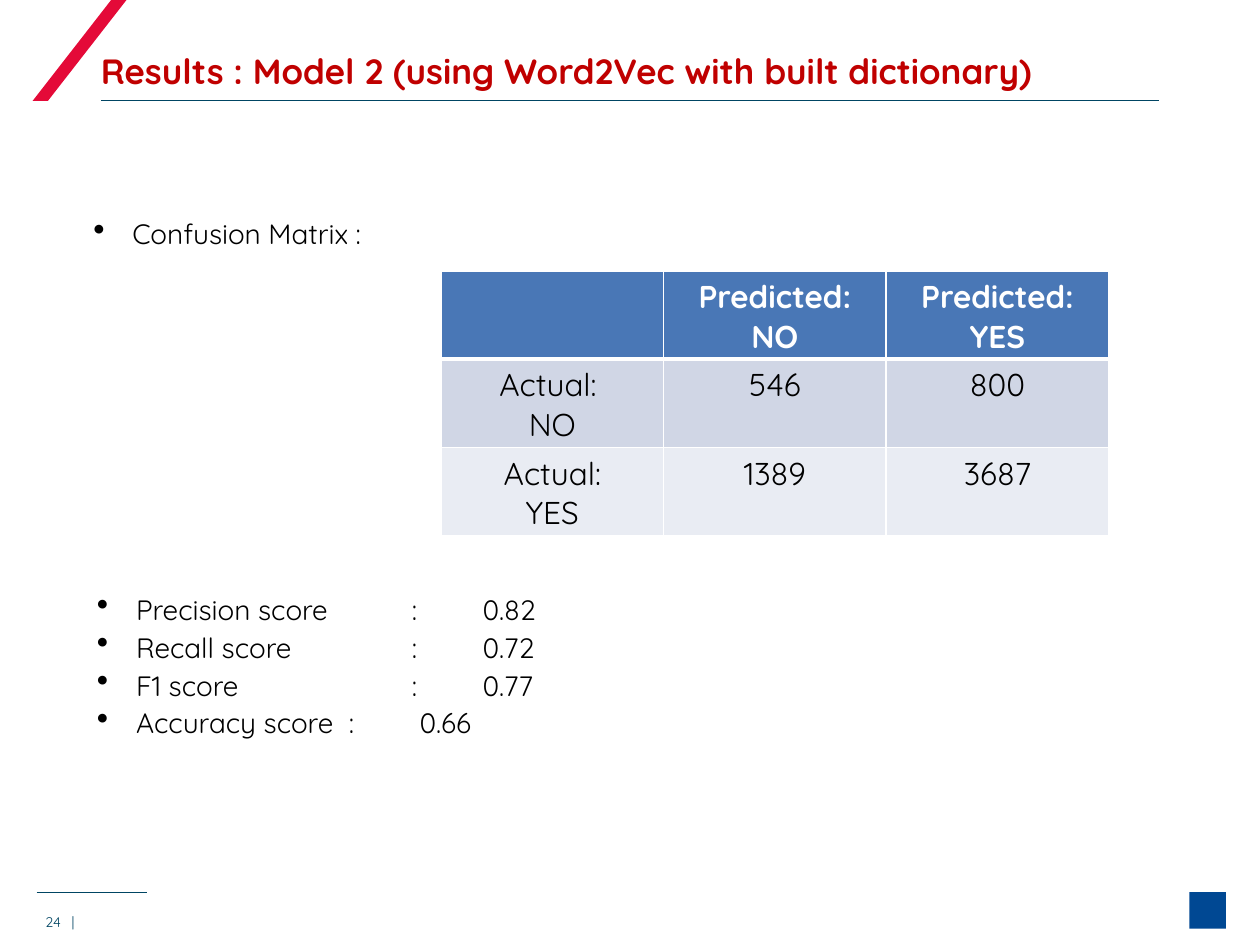
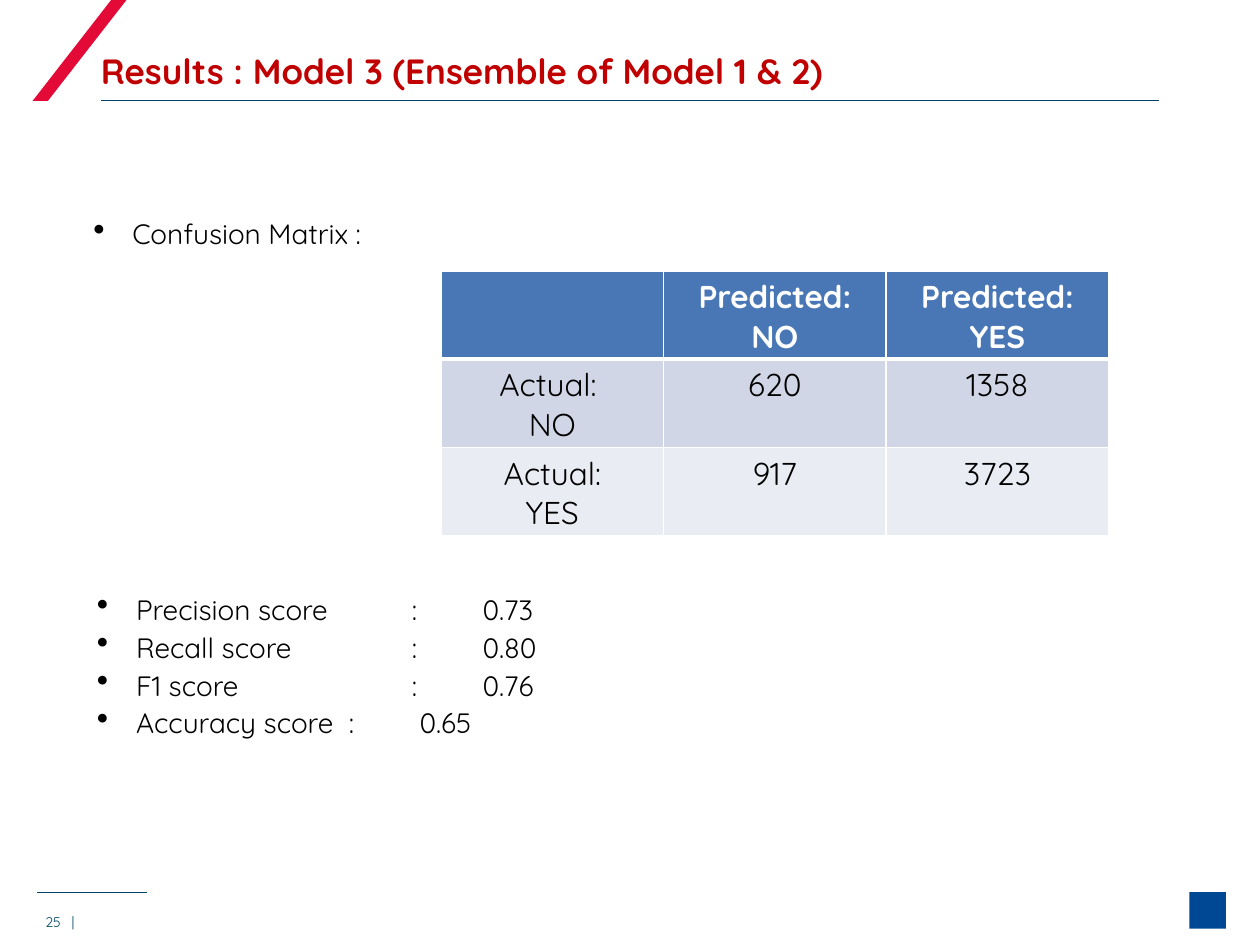
from lxml import etree
from pptx import Presentation
from pptx.dml.color import RGBColor
from pptx.enum.shapes import MSO_CONNECTOR, MSO_SHAPE
from pptx.enum.text import MSO_ANCHOR, PP_ALIGN
from pptx.oxml import parse_xml
from pptx.oxml.ns import nsdecls, qn
from pptx.util import Inches, Pt

LINE = MSO_CONNECTOR.STRAIGHT
RECT, SLANT = MSO_SHAPE.RECTANGLE, MSO_SHAPE.PARALLELOGRAM
TOP, BOTTOM = MSO_ANCHOR.TOP, MSO_ANCHOR.BOTTOM
LEFT, MID = PP_ALIGN.LEFT, PP_ALIGN.CENTER

FACE = "Quicksand"
TEAL, RED, BLUE, DARK = "004563", "E40A38", "004893", "C00000"
BLACK, WHITE = "000000", "FFFFFF"
BANDS = ["4977B6", "D0D6E5", "E9ECF3"]

# Font values, then paragraph values, for each kind of text
TITLE = ({"size": Pt(20), "bold": True}, DARK, {"alignment": LEFT})
PAGE = ({"size": Pt(8), "bold": False}, TEAL, {"alignment": LEFT})
ITEM = ({"size": Pt(16), "bold": False}, BLACK, {"alignment": LEFT, "space_before": Pt(2.5)})
HEAD = ({"size": Pt(18), "bold": True}, WHITE, {"alignment": MID})
BODY = ({"size": Pt(18), "bold": False}, BLACK, {"alignment": MID})

DATA = [
    {"title": "Results : Model 2 (using Word2Vec with built dictionary)", "page": 24,
     "counts": [["546", "800"], ["1389", "3687"]],
     "scores": ["0.82", "0.72", "0.77", "0.66"]},
    {"title": "Results : Model 3 (Ensemble of Model 1 & 2)", "page": 25,
     "counts": [["620", "1358"], ["917", "3723"]],
     "scores": ["0.73", "0.80", "0.76", "0.65"]},
]
LABELS = ["Precision score\t\t:\t ", "Recall score\t\t:\t ",
          "F1 score\t\t\t:\t ", "Accuracy score\t:\t "]
RULES = [(0.29, 7.08, 1.17), (0.8, 0.8, 9.2)]
MARKS = [(RECT, 9.44, 7.08, 0.29, 0.29, BLUE),
         (SLANT, 0.26, -0.02, 0.76, 0.82, RED)]


def hue(code):
    return RGBColor.from_string(code)


def write(frame, lines, form):
    """Fill a text frame with one paragraph per line, in the given form."""
    look, ink, lay = form
    for i, line in enumerate(lines):
        para = frame.add_paragraph() if i else frame.paragraphs[0]
        for key, val in lay.items():
            setattr(para, key, val)
        run = para.add_run()
        run.text = line
        run.font.name = FACE
        run.font.color.rgb = hue(ink)
        for key, val in look.items():
            setattr(run.font, key, val)
        props = para._p.get_or_add_pPr()
        if form is ITEM:
            props.set("marL", str(Inches(0.31)))
            props.set("indent", str(Inches(-0.31)))
            etree.SubElement(props, qn("a:buSzPct"), val="120000")
            etree.SubElement(props, qn("a:buChar"), char="•")
        elif form is PAGE:
            tabs = etree.SubElement(props, qn("a:tabLst"))
            etree.SubElement(tabs, qn("a:tab"), pos=str(Inches(0.21)), algn="l")


deck = Presentation()
deck.slide_width, deck.slide_height = Inches(10), Inches(7.5)

for data in DATA:
    slide = deck.slides.add_slide(deck.slide_layouts[6])
    shapes = slide.shapes

    # Rules and corner marks
    for x, y, end in RULES:
        rule = shapes.add_connector(LINE, Inches(x), Inches(y), Inches(end), Inches(y))
        rule.line.color.rgb = hue(TEAL)
        rule.line.width = Pt(0.5)
        etree.SubElement(rule._element.spPr, qn("a:effectLst"))
    for kind, x, y, w, h, ink in MARKS:
        mark = shapes.add_shape(kind, Inches(x), Inches(y), Inches(w), Inches(h))
        mark.shadow.inherit = False
        mark.fill.solid()
        mark.fill.fore_color.rgb = hue(ink)
        mark.line.fill.background()
        if kind == SLANT:
            mark.adjustments[0] = 0.84

    # Title, page number, heading and scores
    scores = [label + score for label, score in zip(LABELS, data["scores"])]
    boxes = [
        (0.8, 0.36, 8.4, 0.37, BOTTOM, [data["title"]], TITLE),
        (0.36, 7.15, 0.4, 0.23, BOTTOM, [f"{data['page']}\t|"], PAGE),
        (0.74, 1.72, 8.39, 0.35, TOP, ["Confusion Matrix :"], ITEM),
        (0.77, 4.7, 4.9, 1.47, TOP, scores, ITEM),
    ]
    for x, y, w, h, anchor, lines, form in boxes:
        frame = shapes.add_textbox(Inches(x), Inches(y), Inches(w), Inches(h)).text_frame
        frame.word_wrap = True
        frame.vertical_anchor = anchor
        for side in ("left", "right", "top", "bottom"):
            setattr(frame, "margin_" + side, 0)
        write(frame, lines, form)

    # Confusion matrix
    grid = [[[], ["Predicted:", "NO"], ["Predicted:", "YES"]]]
    for name, counts in zip((["Actual: ", "NO"], ["Actual:", "YES"]), data["counts"]):
        grid.append([name] + [[count] for count in counts])
    table = shapes.add_table(3, 3, Inches(3.5), Inches(2.15), Inches(5.3), Inches(2.1)).table
    for r, row in enumerate(grid):
        for c, lines in enumerate(row):
            cell = table.cell(r, c)
            write(cell.text_frame, lines, BODY if r else HEAD)
            props = cell._tc.get_or_add_tcPr()
            for side in "LRTB":
                thick = (r, side) in ((0, "B"), (1, "T"))
                props.append(parse_xml(
                    f'<a:ln{side} {nsdecls("a")} w="{Pt(3 if thick else 1)}"><a:solidFill>'
                    f'<a:srgbClr val="{WHITE}"/></a:solidFill></a:ln{side}>'))
            cell.fill.solid()
            cell.fill.fore_color.rgb = hue(BANDS[r])

deck.save("out.pptx")
